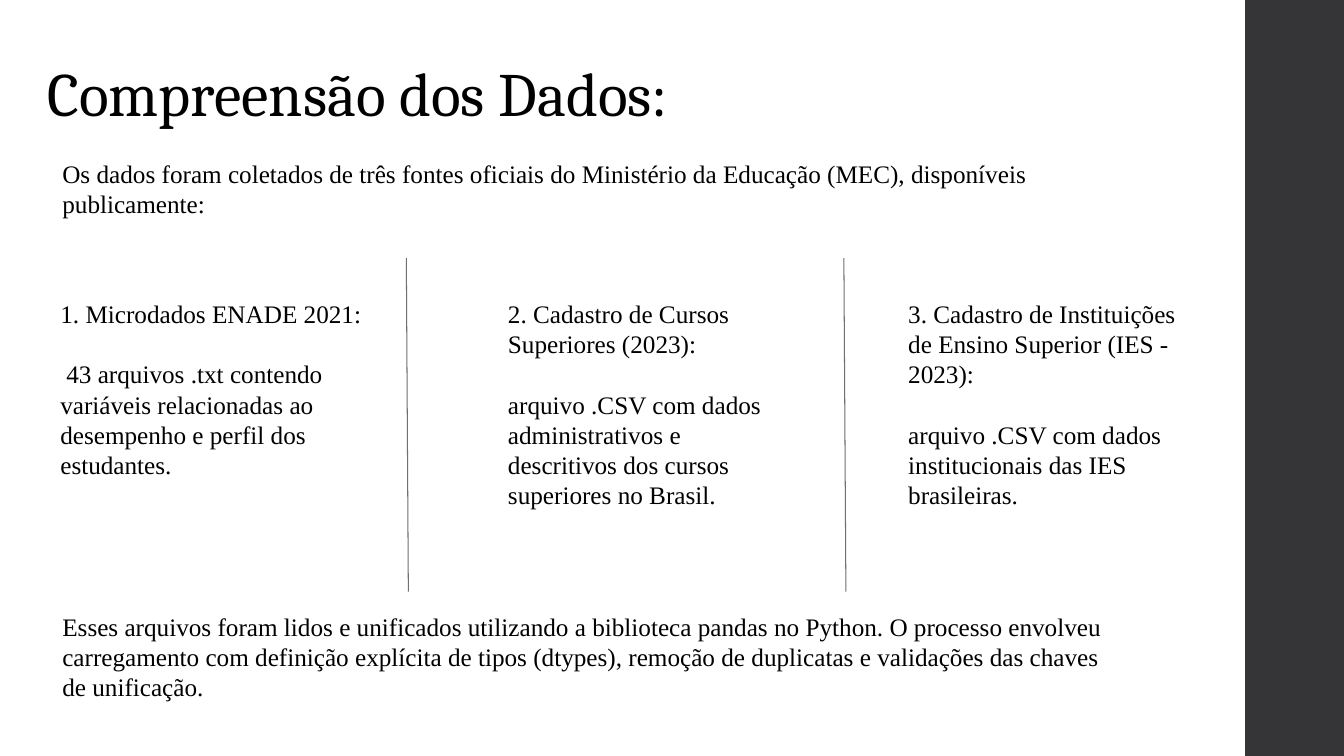
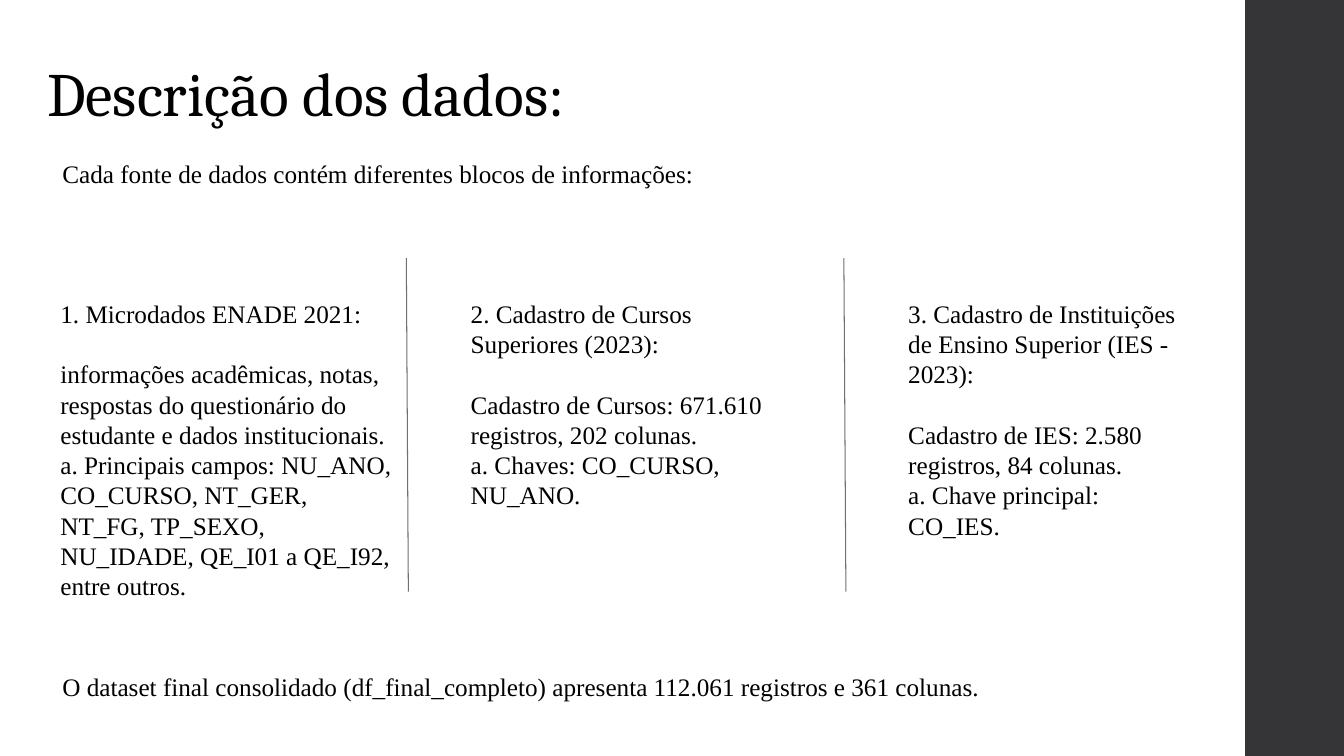
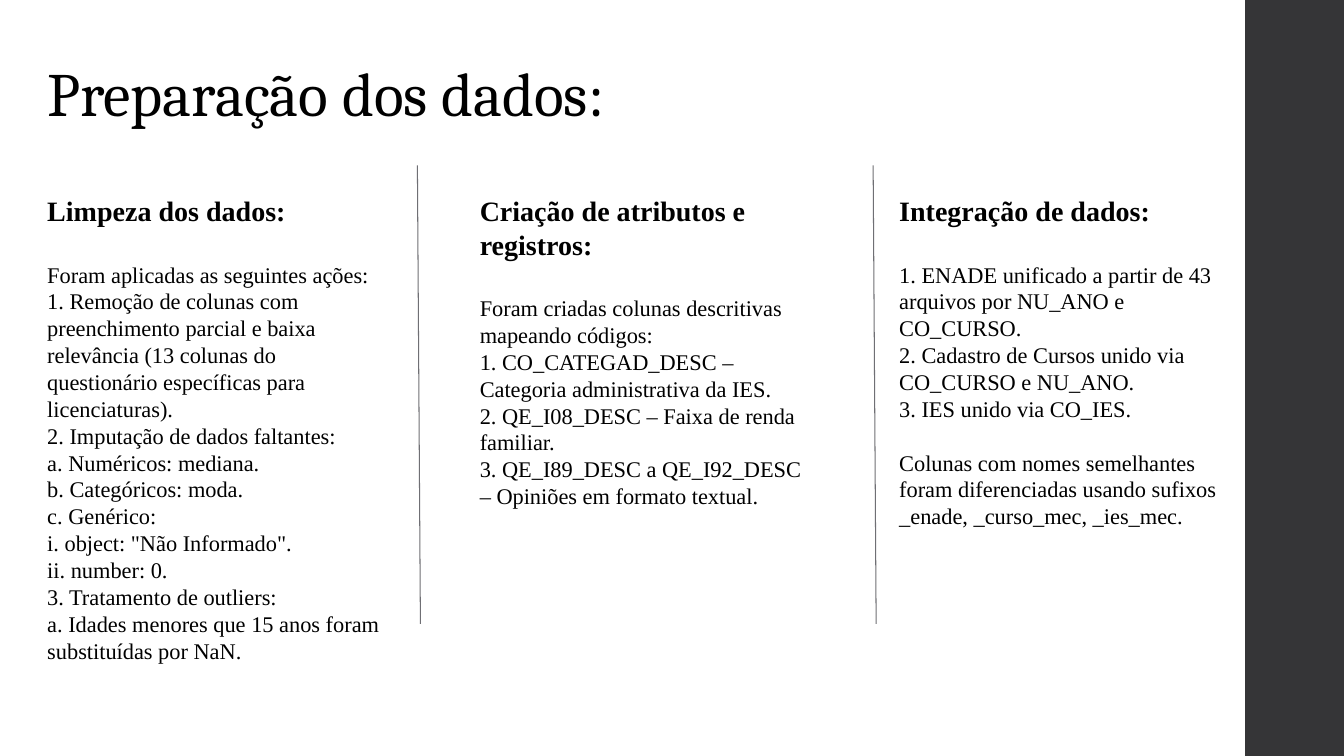
from lxml.etree import SubElement
from pptx import Presentation
from pptx.dml.color import RGBColor
from pptx.enum.shapes import MSO_CONNECTOR as LINK, MSO_SHAPE as SHAPE
from pptx.enum.text import MSO_ANCHOR as ANCHOR
from pptx.oxml.ns import qn
from pptx.util import Inches, Pt

BLACK = RGBColor(0x00, 0x00, 0x00)
DARK = RGBColor(0x35, 0x35, 0x37)
GRAY = RGBColor(0x6F, 0x6F, 0x74)
HEAD = "Cambria"
BODY = "Times New Roman"
LEAD = 1.2

ENADE = "1. Microdados ENADE 2021:"
COURSE = "2. Cadastro de Cursos Superiores (2023):"
SCHOOL = "3. Cadastro de Instituições de Ensino Superior (IES - 2023):"


def put(slide, box, *blocks, size=18, font=BODY, first=None, anchor=ANCHOR.TOP, indent=0):
    frame = slide.shapes.add_textbox(*map(Inches, box)).text_frame
    frame.word_wrap = True
    frame.vertical_anchor = anchor
    para = frame.paragraphs[0]
    last = size
    for i, block in enumerate(blocks):
        for j, line in enumerate(block.split("\n")):
            if i or j:
                para = frame.add_paragraph()
            if i and not j:
                para.space_before = Pt(last * LEAD)
                if indent:
                    para._p.get_or_add_pPr().set("indent", str(Inches(indent)))
            run = para.add_run()
            run.text = line
            title = bool(first) and i == 0
            last = first if title else size
            run.font.size = Pt(last)
            run.font.bold = title
            run.font.name = font
            run.font.color.rgb = BLACK


def rule(slide, left, top, end, lean):
    line = slide.shapes.add_connector(
        LINK.STRAIGHT, *map(Inches, (left, top, left + lean, end)))
    line.line.color.rgb = GRAY
    line.line.width = Pt(0.75)
    SubElement(line._element.spPr, qn("a:effectLst"))


def page(deck, title):
    slide = deck.slides.add_slide(deck.slide_layouts[6])
    band = slide.shapes.add_shape(
        SHAPE.RECTANGLE, *map(Inches, (12.35, 0, 0.98, 7.5)))
    band.shadow.inherit = False
    band.fill.solid()
    band.fill.fore_color.rgb = DARK
    band.line.fill.background()
    put(slide, (0.37, 0.5, 7.32, 0.84), title, size=44, font=HEAD)
    return slide


def source(deck, title, intro, close, cols, indent=0):
    slide = page(deck, title)
    put(slide, (0.52, 1.52, 10.76, 0.71), intro)
    put(slide, (0.52, 6, 10.76, 1.01), close, anchor=ANCHOR.BOTTOM)
    for i, (left, width, *blocks) in enumerate(cols):
        put(slide, (left, 2.91, width, 2.5), *blocks, indent=0 if i else indent)
    for left in (4.03, 8.37):
        rule(slide, left, 2.56, 5.87, 0.02)


def steps(deck, title, cols):
    slide = page(deck, title)
    for left, *blocks in cols:
        put(slide, (left, 1.87, 3.52, 4), *blocks, size=16, first=20)
    for left in (4.14, 8.66):
        rule(slide, left, 1.64, 6.19, 0.03)


def main():
    deck = Presentation()
    deck.slide_width = Inches(13.33)
    deck.slide_height = Inches(7.5)

    source(
        deck, "Compreensão dos Dados:",
        "Os dados foram coletados de três fontes oficiais do Ministério da "
        "Educação (MEC), disponíveis publicamente:",
        "Esses arquivos foram lidos e unificados utilizando a biblioteca pandas "
        "no Python. O processo envolveu carregamento com definição explícita de "
        "tipos (dtypes), remoção de duplicatas e validações das chaves de unificação.",
        [(0.5, 3.55, ENADE,
          "43 arquivos .txt contendo variáveis relacionadas ao desempenho e "
          "perfil dos estudantes."),
         (4.94, 3, COURSE,
          "arquivo .CSV com dados administrativos e descritivos dos cursos "
          "superiores no Brasil."),
         (8.91, 3, SCHOOL,
          "arquivo .CSV com dados institucionais das IES brasileiras.")],
        indent=0.06)

    source(
        deck, "Descrição dos dados:",
        "Cada fonte de dados contém diferentes blocos de informações:",
        "O dataset final consolidado (df_final_completo) apresenta 112.061 "
        "registros e 361 colunas.",
        [(0.5, 3.55, ENADE,
          "informações acadêmicas, notas, respostas do questionário do estudante "
          "e dados institucionais.\n"
          "a. Principais campos: NU_ANO, CO_CURSO, NT_GER, NT_FG, TP_SEXO, "
          "NU_IDADE, QE_I01 a QE_I92, entre outros."),
         (4.57, 3.45, COURSE,
          "Cadastro de Cursos: 671.610 registros, 202 colunas.\n"
          "a. Chaves: CO_CURSO, NU_ANO."),
         (8.91, 3, SCHOOL,
          "Cadastro de IES: 2.580 registros, 84 colunas.\n"
          "a. Chave principal: CO_IES.")])

    steps(
        deck, "Preparação dos dados:",
        [(0.37, "Limpeza dos dados:",
          "Foram aplicadas as seguintes ações:\n"
          "1. Remoção de colunas com preenchimento parcial e baixa relevância "
          "(13 colunas do questionário específicas para licenciaturas).\n"
          "2. Imputação de dados faltantes:\n"
          "a. Numéricos: mediana.\n"
          "b. Categóricos: moda.\n"
          "c. Genérico:\n"
          'i. object: "Não Informado".\n'
          "ii. number: 0.\n"
          "3. Tratamento de outliers:\n"
          "a. Idades menores que 15 anos foram substituídas por NaN."),
         (4.66, "Criação de atributos e registros:",
          "Foram criadas colunas descritivas mapeando códigos:\n"
          "1. CO_CATEGAD_DESC – Categoria administrativa da IES.\n"
          "2. QE_I08_DESC – Faixa de renda familiar.\n"
          "3. QE_I89_DESC a QE_I92_DESC – Opiniões em formato textual."),
         (8.82, "Integração de dados:",
          "1. ENADE unificado a partir de 43 arquivos por NU_ANO e CO_CURSO.\n"
          "2. Cadastro de Cursos unido via CO_CURSO e NU_ANO.\n"
          "3. IES unido via CO_IES.",
          "Colunas com nomes semelhantes foram diferenciadas usando sufixos "
          "_enade, _curso_mec, _ies_mec.")])

    deck.save("out.pptx")


if __name__ == "__main__":
    main()
